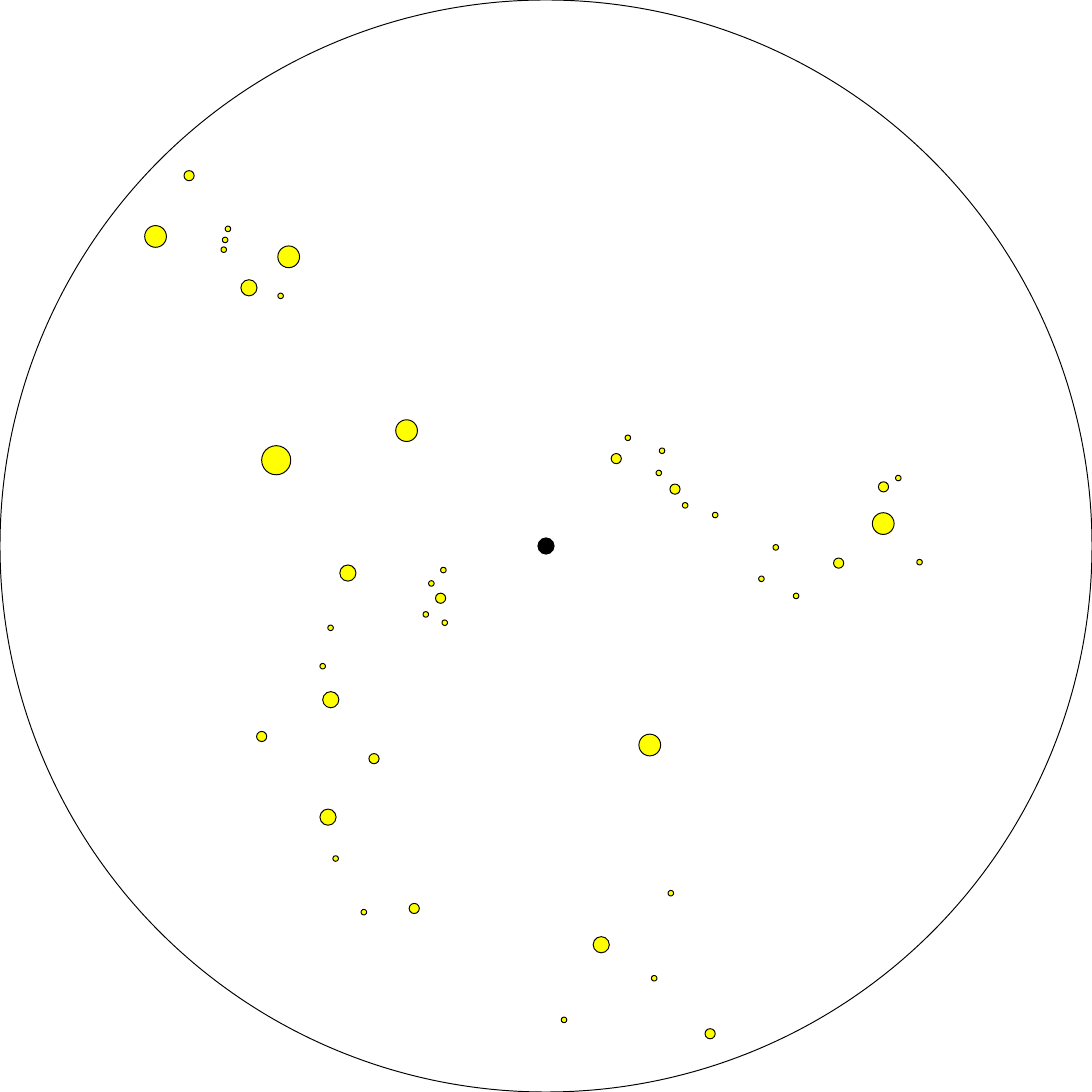
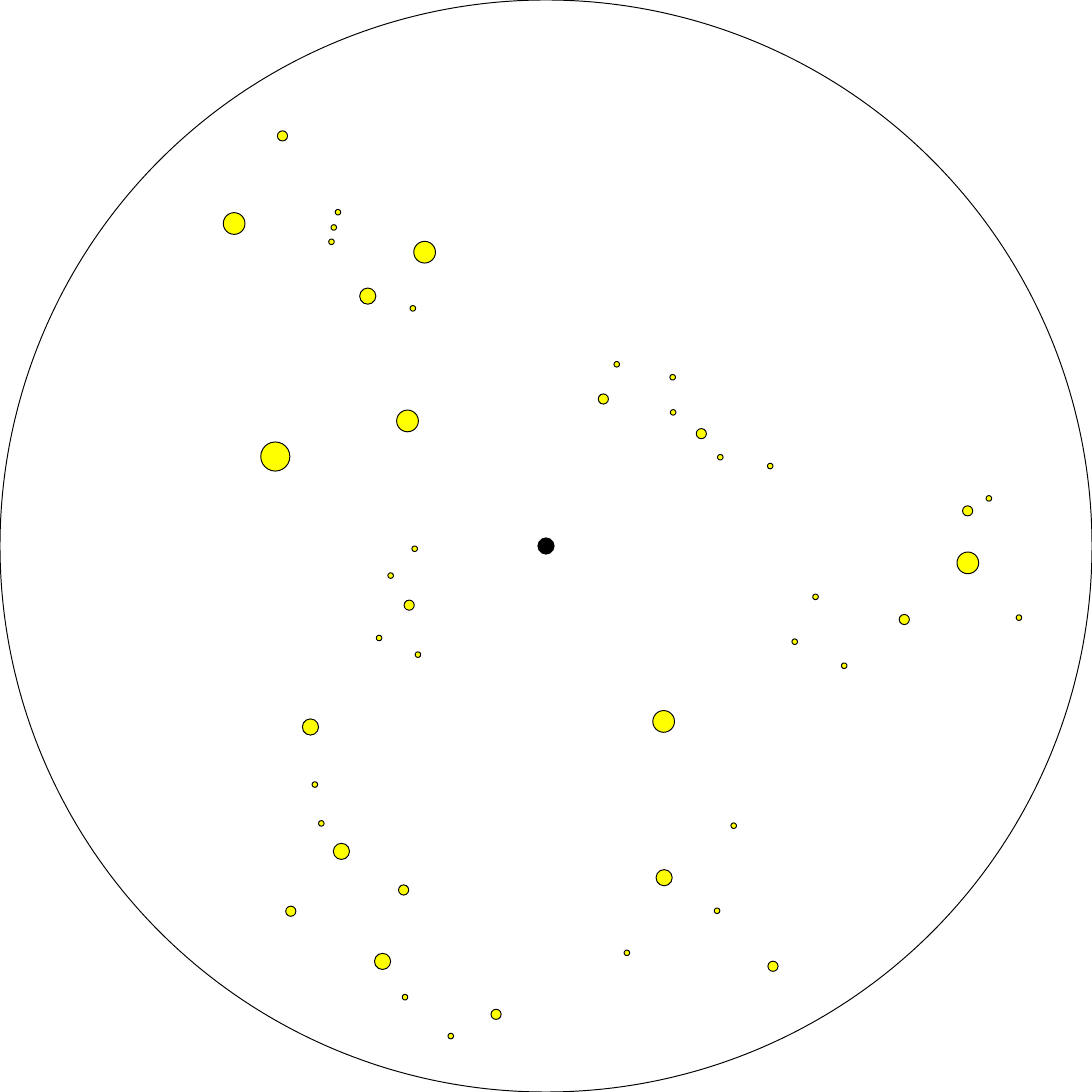
from pptx import Presentation
from pptx.dml.color import RGBColor
from pptx.enum.shapes import MSO_SHAPE
from pptx.util import Inches, Pt

OVAL = MSO_SHAPE.OVAL
BLACK = RGBColor(0x00, 0x00, 0x00)
YELLOW = RGBColor(0xFF, 0xFF, 0x00)

SKY = 23.62
TINY, SMALL, MEDIUM, LARGE, HUGE = 0.12, 0.22, 0.35, 0.47, 0.63

FIRST_SKY = {
    "brightest star": [(5.66, 9.64, HUGE)],
    "inner west": [
        (9.27, 12.56, TINY), (9.56, 13.41, TINY), (9.15, 13.23, TINY),
        (9.53, 12.27, TINY), (9.42, 12.83, SMALL),
    ],
    "north-east": [
        (13.52, 9.41, TINY), (14.26, 9.69, TINY), (14.19, 10.17, TINY),
        (14.76, 10.87, TINY), (15.41, 11.08, TINY), (13.22, 9.81, SMALL),
        (14.49, 10.47, SMALL),
    ],
    "south": [
        (12.83, 20.26, MEDIUM), (14.09, 21.1, TINY), (12.14, 22, TINY),
        (14.45, 19.26, TINY), (15.25, 22.25, SMALL),
    ],
    "south-west": [
        (7.2, 18.51, TINY), (7.81, 19.67, TINY), (6.92, 14.35, TINY),
        (7.09, 13.52, TINY), (8.85, 19.54, SMALL), (5.55, 15.82, SMALL),
        (7.98, 16.3, SMALL), (6.92, 17.5, MEDIUM), (6.98, 14.96, MEDIUM),
        (7.35, 12.22, MEDIUM),
    ],
    "north-west": [
        (4.78, 5.34, TINY), (3.98, 3.69, SMALL), (3.13, 4.88, LARGE),
        (4.81, 5.13, TINY), (4.87, 4.89, TINY), (6.01, 6.34, TINY),
        (5.21, 6.05, MEDIUM), (6.01, 5.32, LARGE),
    ],
    "upper bright star": [(8.56, 9.08, LARGE)],
    "lower bright star": [(13.82, 15.88, LARGE)],
    "east": [
        (19.37, 10.28, TINY), (19.83, 12.1, TINY), (16.72, 11.78, TINY),
        (16.41, 12.46, TINY), (17.16, 12.83, TINY), (18.03, 12.07, SMALL),
        (19, 10.42, SMALL), (18.87, 11.09, LARGE),
    ],
}

SECOND_SKY = {
    "brightest star": [(5.64, 9.56, HUGE)],
    "south": [
        (14.19, 18.81, MEDIUM), (15.45, 19.64, TINY), (13.5, 20.55, TINY),
        (15.81, 17.8, TINY), (16.61, 20.79, SMALL),
    ],
    "south-west": [
        (8.7, 21.51, TINY), (9.69, 22.35, TINY), (6.89, 17.75, TINY),
        (6.75, 16.91, TINY), (10.62, 21.83, SMALL), (6.18, 19.6, SMALL),
        (8.62, 19.14, SMALL), (8.1, 20.62, MEDIUM), (7.21, 18.24, MEDIUM),
        (6.54, 15.55, MEDIUM),
    ],
    "upper bright star": [(8.58, 8.87, LARGE)],
    "lower bright star": [(14.12, 15.37, LARGE)],
    "north-west": [
        (6, 2.83, SMALL), (4.83, 4.6, LARGE), (7.25, 4.53, TINY),
        (7.16, 4.86, TINY), (7.11, 5.17, TINY), (7.78, 6.23, MEDIUM),
        (8.95, 5.22, LARGE), (8.87, 6.61, TINY),
    ],
    "inner west": [
        (8.91, 11.81, TINY), (8.39, 12.39, TINY), (8.14, 13.74, TINY),
        (8.98, 14.1, TINY), (8.74, 12.98, SMALL),
    ],
    "north-east": [
        (12.94, 8.52, SMALL), (13.28, 7.82, TINY), (14.49, 8.1, TINY),
        (14.5, 8.86, TINY), (15.06, 9.27, SMALL), (15.52, 9.83, TINY),
        (16.6, 10.02, TINY),
    ],
    "east": [
        (17.58, 12.85, TINY), (17.13, 13.82, TINY), (18.2, 14.34, TINY),
        (21.33, 10.72, TINY), (21.98, 13.3, TINY), (20.82, 10.94, SMALL),
        (19.45, 13.29, SMALL), (20.7, 11.94, LARGE),
    ],
}


class StarChart:
    """Draws round star charts, one to a slide."""

    def __init__(self, prs):
        self.prs = prs
        self.s = None

    def add_sky(self):
        self.s = self.prs.slides.add_slide(self.prs.slide_layouts[6])
        self.disc(self.s.shapes, 0, 0, SKY)
        pole = (SKY - MEDIUM) / 2
        self.disc(self.s.shapes, pole, pole, MEDIUM, BLACK)

    def disc(self, shapes, left, top, size, fill=None):
        sp = shapes.add_shape(OVAL, Inches(left), Inches(top), Inches(size), Inches(size))
        sp.shadow.inherit = False
        if fill is None:
            sp.fill.background()
        else:
            sp.fill.solid()
            sp.fill.fore_color.rgb = fill
        sp.line.color.rgb = BLACK
        sp.line.width = Pt(1.5)

    def constellation(self, stars):
        shapes = self.s.shapes
        if len(stars) > 1:
            shapes = shapes.add_group_shape().shapes
        for star in stars:
            self.disc(shapes, *star, YELLOW)


def main():
    prs = Presentation()
    prs.slide_width = prs.slide_height = Inches(SKY)
    chart = StarChart(prs)
    for sky in (FIRST_SKY, SECOND_SKY):
        chart.add_sky()
        for stars in sky.values():
            chart.constellation(stars)
    prs.save("out.pptx")


if __name__ == "__main__":
    main()
